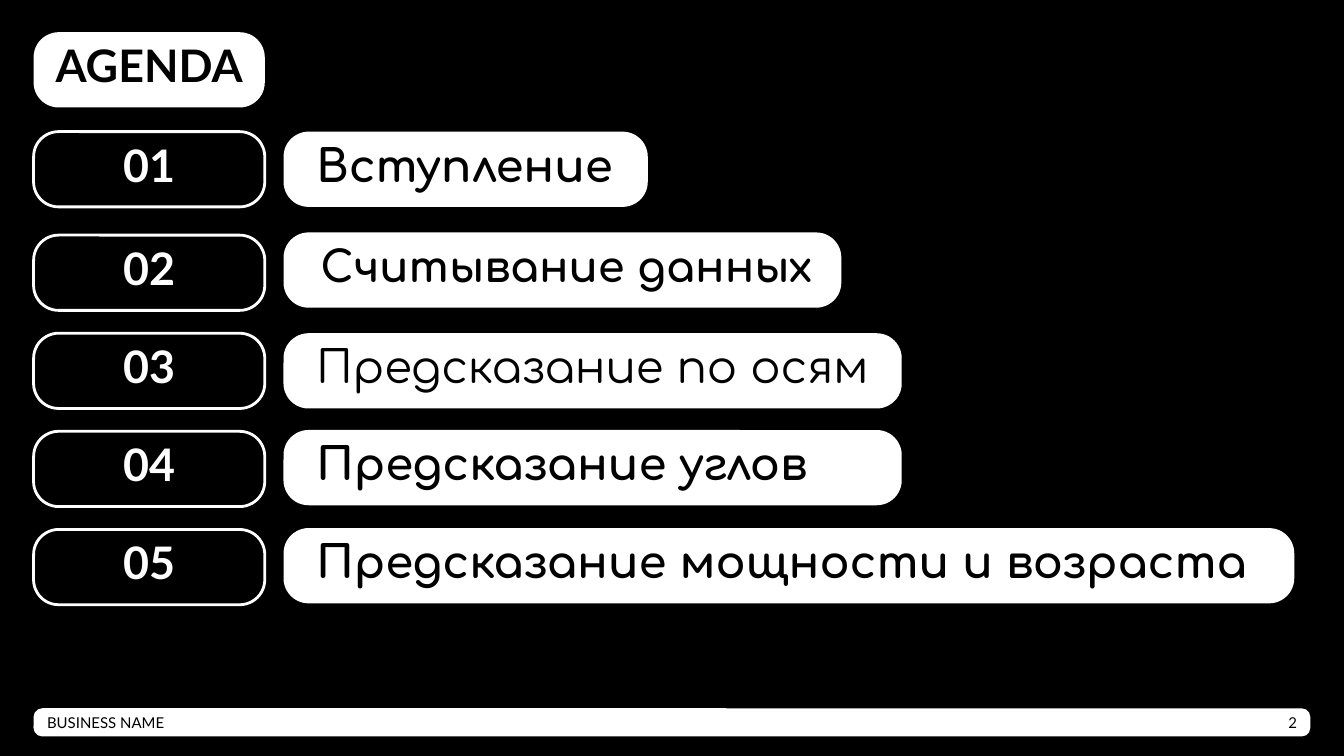
from pptx import Presentation
from pptx.dml.color import RGBColor
from pptx.enum.shapes import MSO_SHAPE
from pptx.enum.text import MSO_ANCHOR, MSO_AUTO_SIZE, PP_ALIGN
from pptx.util import Inches, Pt

ROUNDED = MSO_SHAPE.ROUNDED_RECTANGLE
MIDDLE = MSO_ANCHOR.MIDDLE
NO_AUTOFIT = MSO_AUTO_SIZE.NONE
LEFT, CENTER, RIGHT = PP_ALIGN.LEFT, PP_ALIGN.CENTER, PP_ALIGN.RIGHT

BLACK, WHITE = "000000", "FFFFFF"
HEADING_FONT, TOPIC_FONT = "Lato", "Comfortaa"

# Grid: number column, topic column and evenly spaced rows
SLIDE_WIDTH = Inches(10)
SLIDE_HEIGHT = SLIDE_WIDTH * 9 // 16
MARGIN = 0.25
NUMBER_WIDTH = 1.72
TOPIC_LEFT = 2.11
TITLE_TOP = 0.24
PILL_HEIGHT = 0.56
PILL_ROUNDING = 0.333
ROW_TOPS = [0.98, 1.75] + [2.48 + 0.73 * step for step in range(3)]
FOOTER_TOP, FOOTER_WIDTH, FOOTER_HEIGHT = 5.27, 9.5, 0.21

# Topic, pill width, upward shift from its row, left inset, size, bold
TOPICS = [
    ("Вступление", 2.71, 0, 0.19, 24, True),
    ("Считывание данных", 4.15, 0.02, 0.22, 23, True),
    ("Предсказание по осям", 4.6, 0, 0.19, 24, False),
    ("Предсказание углов", 4.6, 0.01, 0.19, 24, True),
    ("Предсказание мощности и возраста", 7.52, 0.01, 0.19, 24, True),
]


def color(hex_value):
    return RGBColor.from_string(hex_value)


def place(shape, left, top, width, height):
    shape.left, shape.top = Inches(left), Inches(top)
    shape.width, shape.height = Inches(width), Inches(height)


def write(shape, text, size, font=HEADING_FONT, font_color=BLACK, bold=False,
          align=LEFT, spacing=1.0, left_inset=0.1):
    frame = shape.text_frame
    frame.word_wrap = True
    frame.auto_size = NO_AUTOFIT
    frame.vertical_anchor = MIDDLE
    frame.margin_left = Inches(left_inset)
    frame.margin_top = frame.margin_right = frame.margin_bottom = Inches(0.1)
    frame.text = text
    paragraph = frame.paragraphs[0]
    paragraph.alignment = align
    paragraph.line_spacing = spacing
    paragraph.space_before = Pt(0)
    paragraph.font.name = font
    paragraph.font.size = Pt(size)
    paragraph.font.bold = bold
    paragraph.font.color.rgb = color(font_color)


def add_pill(slide, left, top, width, height=PILL_HEIGHT,
             rounding=PILL_ROUNDING, outlined=False):
    pill = slide.shapes.add_shape(ROUNDED, Inches(left), Inches(top),
                                  Inches(width), Inches(height))
    pill.adjustments[0] = rounding
    pill.shadow.inherit = False
    if outlined:
        pill.fill.background()
        pill.line.color.rgb = color(WHITE)
        pill.line.width = Pt(1.5)
    else:
        pill.fill.solid()
        pill.fill.fore_color.rgb = color(WHITE)
        pill.line.fill.background()
    return pill


def send_to_back(slide, shape):
    slide.shapes._spTree.insert(2, shape._element)


def add_title(slide):
    # The pill lies behind the title placeholder
    send_to_back(slide, add_pill(slide, MARGIN, TITLE_TOP, NUMBER_WIDTH))
    title = slide.shapes.title
    place(title, MARGIN, TITLE_TOP, NUMBER_WIDTH, PILL_HEIGHT)
    write(title, "AGENDA", 24, bold=True, align=CENTER, spacing=0.8)


def add_footer(slide):
    # The bar lies behind the subtitle placeholder
    send_to_back(slide, add_pill(slide, MARGIN, FOOTER_TOP, FOOTER_WIDTH,
                                 FOOTER_HEIGHT, 0.311))
    business = slide.placeholders[1]
    place(business, MARGIN, FOOTER_TOP, 4.04, FOOTER_HEIGHT)
    write(business, "BUSINESS NAME", 8)
    page_number = slide.shapes.add_textbox(
        Inches(8.84), Inches(FOOTER_TOP), Inches(0.91), Inches(FOOTER_HEIGHT))
    write(page_number, "2", 8, align=RIGHT)


def add_agenda_row(slide, number, top, topic):
    text, width, shift, left_inset, size, bold = topic
    number_pill = add_pill(slide, MARGIN, top, NUMBER_WIDTH, outlined=True)
    write(number_pill, f"{number:02d}", 24, font_color=WHITE, bold=True,
          align=CENTER, spacing=0.8)
    topic_pill = add_pill(slide, TOPIC_LEFT, top - shift, width)
    write(topic_pill, text, size, font=TOPIC_FONT, bold=bold, spacing=0.8,
          left_inset=left_inset)


def main():
    presentation = Presentation()
    presentation.slide_width = SLIDE_WIDTH
    presentation.slide_height = SLIDE_HEIGHT
    slide = presentation.slides.add_slide(presentation.slide_layouts[0])
    slide.background.fill.solid()
    slide.background.fill.fore_color.rgb = color(BLACK)

    add_title(slide)
    add_footer(slide)
    for number, (top, topic) in enumerate(zip(ROW_TOPS, TOPICS), start=1):
        add_agenda_row(slide, number, top, topic)
    presentation.save("out.pptx")


if __name__ == "__main__":
    main()
